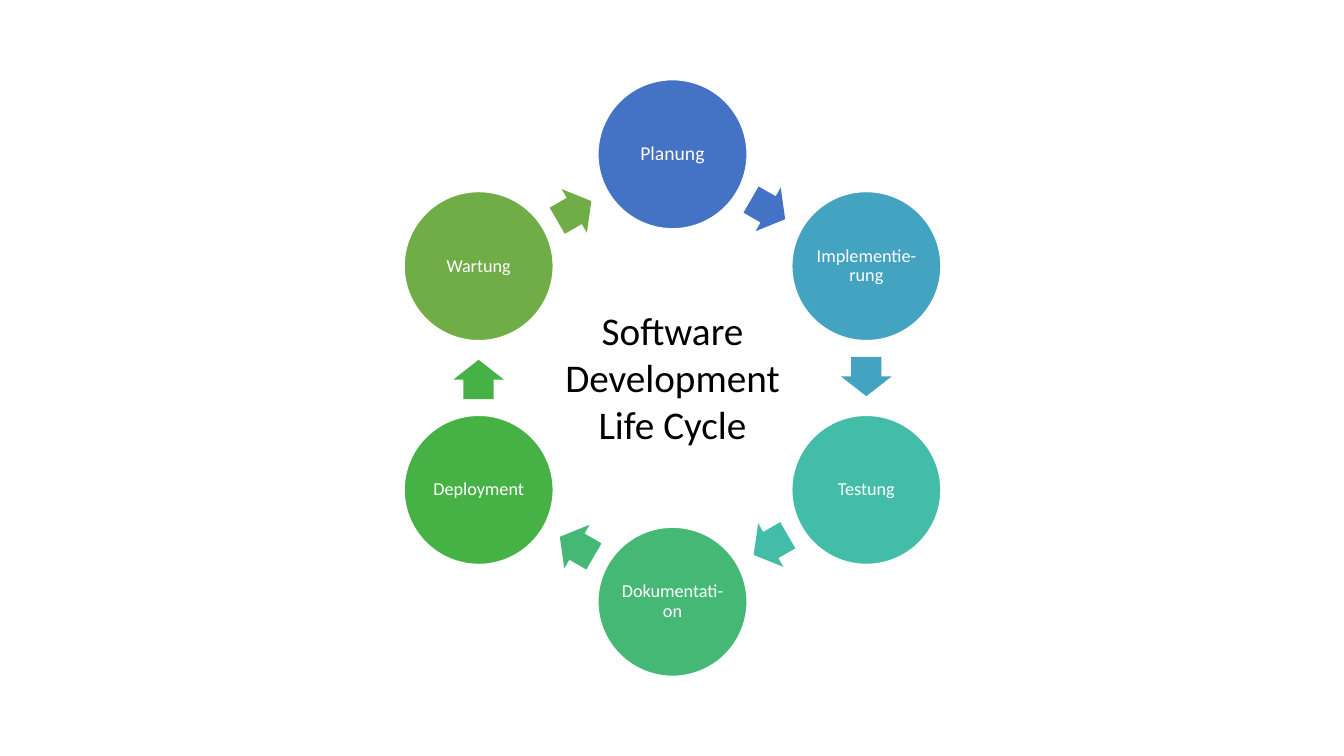
"""Build a slide with the software development life cycle as a ring of six phases."""
import math

import pptx
import pptx.dml.color
import pptx.enum.shapes
import pptx.enum.text
import pptx.util

Inches = pptx.util.Inches
Pt = pptx.util.Pt
RGBColor = pptx.dml.color.RGBColor
MSO_SHAPE = pptx.enum.shapes.MSO_SHAPE
PP_ALIGN = pptx.enum.text.PP_ALIGN
MSO_ANCHOR = pptx.enum.text.MSO_ANCHOR
MSO_AUTO_SIZE = pptx.enum.text.MSO_AUTO_SIZE

WHITE = RGBColor(0xFF, 0xFF, 0xFF)
BLACK = RGBColor(0x00, 0x00, 0x00)
BLUE = RGBColor(0x44, 0x72, 0xC4)
CYAN = RGBColor(0x44, 0xA3, 0xC0)
TEAL = RGBColor(0x43, 0xBD, 0xA7)
SEA_GREEN = RGBColor(0x44, 0xB8, 0x74)
GREEN = RGBColor(0x46, 0xB2, 0x46)
OLIVE = RGBColor(0x70, 0xAD, 0x47)

PHASES = [
    ("Planung", 14, BLUE),
    ("Implementie-rung", 13, CYAN),
    ("Testung", 13, TEAL),
    ("Dokumentati-on", 13, SEA_GREEN),
    ("Deployment", 13, GREEN),
    ("Wartung", 13, OLIVE),
]
CENTER_X, CENTER_Y = 6.67, 3.75
RADIUS = 2.22
DIAMETER = 1.48
ARROW_LENGTH, ARROW_WIDTH = 0.39, 0.5
ARROW_SETBACK = 0.015


class CycleSlide:
    def __init__(self, prs, font="Calibri"):
        self.font = font
        self.slide = prs.slides.add_slide(prs.slide_layouts[5])

    def format_text(self, tf, text, size, color, spacing, inset_x, inset_y):
        tf.word_wrap = True
        tf.margin_left = tf.margin_right = Inches(inset_x)
        tf.margin_top = tf.margin_bottom = Inches(inset_y)
        p = tf.paragraphs[0]
        p.text = text
        p.alignment = PP_ALIGN.CENTER
        p.line_spacing = spacing
        p.font.name = self.font
        p.font.size = Pt(size)
        p.font.color.rgb = color

    def title(self, text, left, top, width, height):
        sp = self.slide.shapes.title
        sp.left, sp.top = Inches(left), Inches(top)
        sp.width, sp.height = Inches(width), Inches(height)
        tf = sp.text_frame
        self.format_text(tf, text, 28, BLACK, 1.0, 0.1, 0.05)
        tf.vertical_anchor = MSO_ANCHOR.TOP
        tf.auto_size = MSO_AUTO_SIZE.SHAPE_TO_FIT_TEXT

    def centered_shape(self, kind, x, y, width, height, color):
        sp = self.slide.shapes.add_shape(
            kind, Inches(x - width / 2), Inches(y - height / 2),
            Inches(width), Inches(height))
        sp.shadow.inherit = False
        sp.fill.solid()
        sp.fill.fore_color.rgb = color
        return sp

    def circle(self, x, y, text, size, color):
        sp = self.centered_shape(MSO_SHAPE.OVAL, x, y, DIAMETER, DIAMETER, color)
        sp.line.color.rgb = WHITE
        sp.line.width = Pt(1)
        tf = sp.text_frame
        self.format_text(tf, text, size, WHITE, 0.9, 0.02, 0.02)
        tf.vertical_anchor = MSO_ANCHOR.MIDDLE

    def arrow(self, x, y, rotation, color):
        sp = self.centered_shape(
            MSO_SHAPE.RIGHT_ARROW, x, y, ARROW_LENGTH, ARROW_WIDTH, color)
        sp.line.fill.background()
        sp.adjustments[0] = 0.6
        sp.adjustments[1] = 0.5
        sp.rotation = rotation

    def cycle(self, phases):
        step = 360 / len(phases)
        arrow_radius = RADIUS * math.cos(math.radians(step / 2))
        for i, (text, size, color) in enumerate(phases):
            angle = math.radians(i * step - 90)
            self.circle(CENTER_X + RADIUS * math.cos(angle),
                        CENTER_Y + RADIUS * math.sin(angle), text, size, color)
            rotation = (i + 0.5) * step
            turn = math.radians(rotation)
            dx, dy = math.cos(turn), math.sin(turn)
            self.arrow(CENTER_X + arrow_radius * dy - ARROW_SETBACK * dx,
                       CENTER_Y - arrow_radius * dx - ARROW_SETBACK * dy,
                       rotation, color)


def main():
    prs = pptx.Presentation()
    prs.slide_width, prs.slide_height = Inches(13.33), Inches(7.5)
    s = CycleSlide(prs)
    s.title("Software Development Life Cycle", 5.46, 2.99, 2.42, 1.51)
    s.cycle(PHASES)
    prs.save("out.pptx")


if __name__ == "__main__":
    main()
